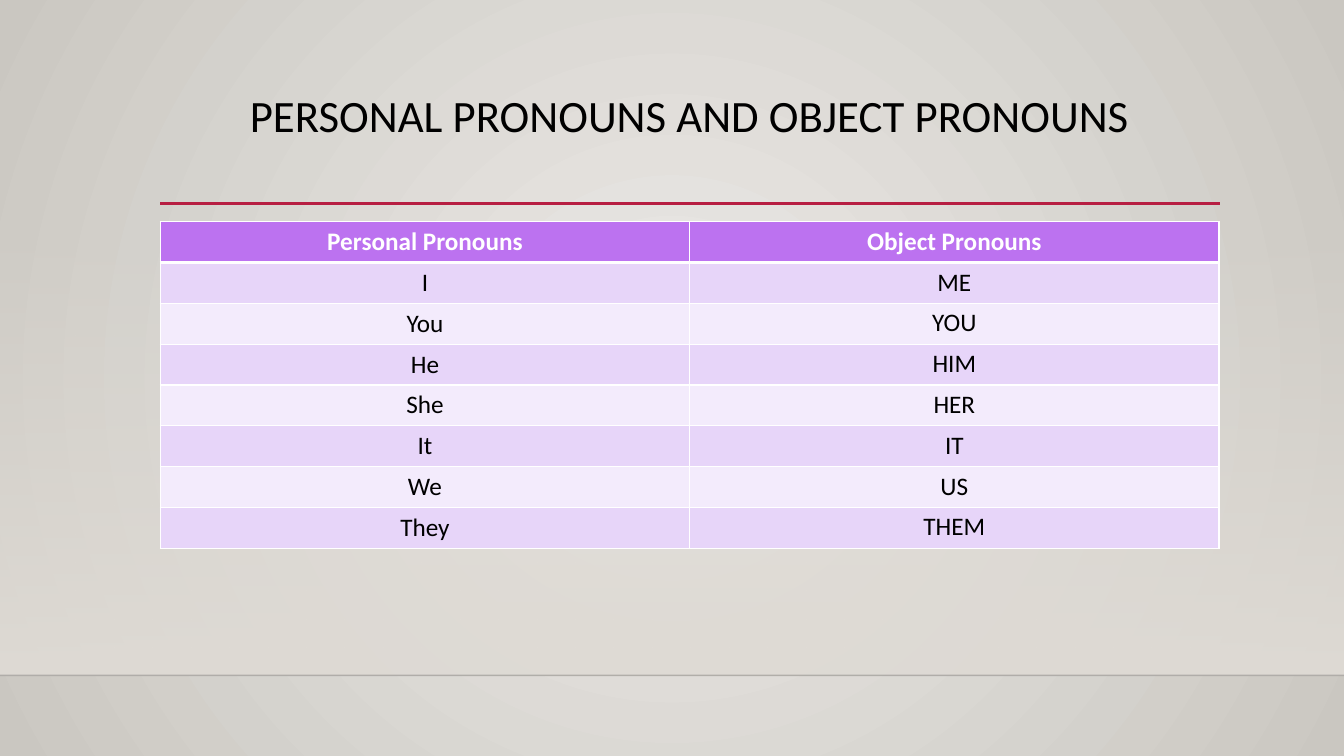
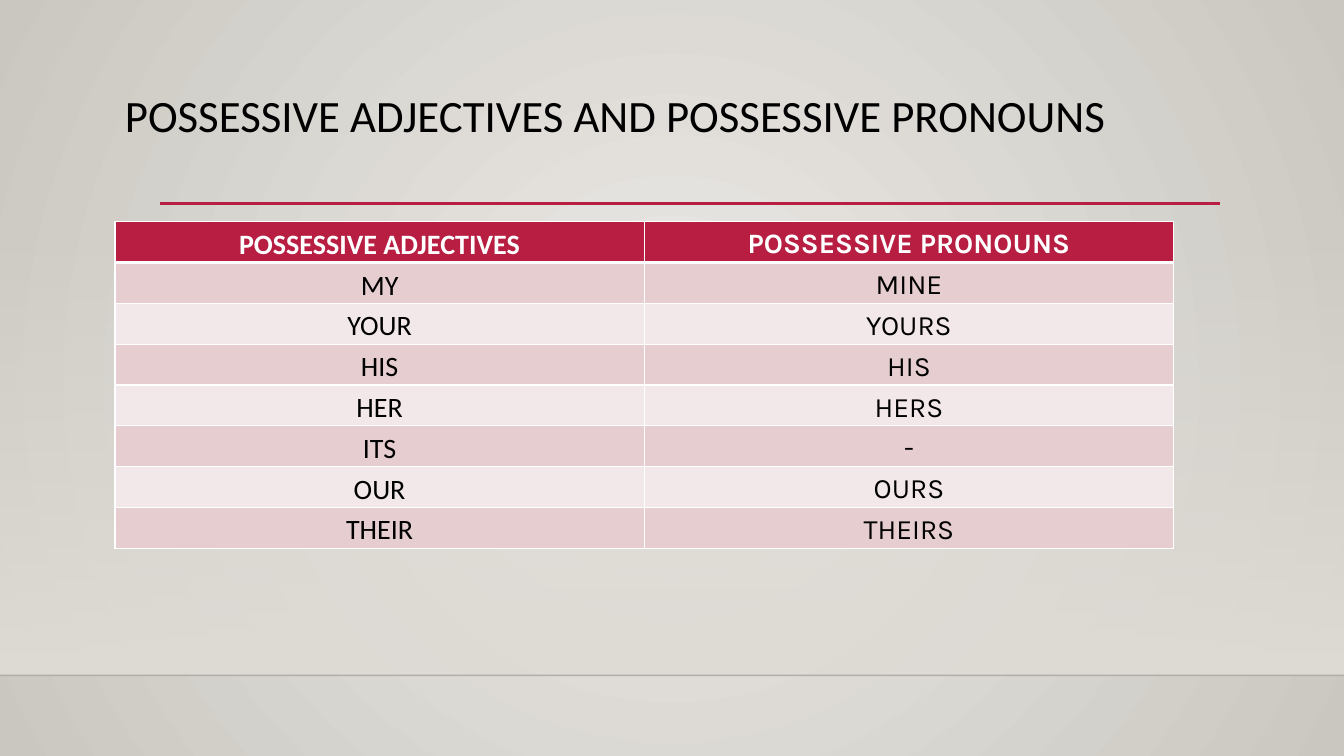
from dataclasses import dataclass

from lxml.etree import SubElement
from pptx import Presentation
from pptx.dml.color import RGBColor
from pptx.dml.fill import FillFormat
from pptx.enum.shapes import MSO_CONNECTOR, MSO_SHAPE
from pptx.enum.text import MSO_ANCHOR as Anchor, PP_ALIGN as Align
from pptx.oxml.ns import qn
from pptx.presentation import Presentation as Deck
from pptx.shapes.connector import Connector
from pptx.slide import Slide
from pptx.table import _Cell as Cell
from pptx.text.text import _Paragraph as Paragraph
from pptx.util import Inches, Pt


@dataclass(frozen=True)
class Theme:
    background_center: str = "ECEAE7"
    background_edge: str = "CAC7C1"
    band: str = "DFDBD5"
    floor_line: str = "000001"
    accent: str = "B71E42"
    text: str = "000000"
    white: str = "FFFFFF"
    font: str = "Calibri"
    second_font: str = "Karla"
    title_size: float = 32
    thin_border: float = 1
    header_border: float = 3


THEME = Theme()
SLIDE_WIDTH, SLIDE_HEIGHT = 13.33, 7.5
FLOOR = 6.7
TABLE_TOP, TABLE_WIDTH, TABLE_HEIGHT = 2.2, 10.5, 3.24
OPAQUE = 100


@dataclass(frozen=True)
class CellStyle:
    size: float
    font: str = THEME.font
    margin_x: float = 0.07
    margin_y: float = 0
    line_spacing: float = 1.15
    anchor: Anchor = Anchor.MIDDLE


@dataclass(frozen=True)
class Palette:
    header: str
    dark_row: str
    light_row: str


@dataclass(frozen=True)
class PronounSlide:
    title: str
    left: float
    title_width: float
    title_align: Align
    palette: Palette
    header_styles: tuple[CellStyle, CellStyle]
    body_styles: tuple[CellStyle, CellStyle]
    rows: list[tuple[str, str]]


ROOMY = CellStyle(18, margin_x=0.1, margin_y=0.05, line_spacing=1, anchor=Anchor.TOP)
TIGHT = CellStyle(18, anchor=Anchor.TOP)
LARGE = CellStyle(20)
LARGE_SECOND = CellStyle(20, font=THEME.second_font)

SLIDES = [
    PronounSlide(
        "PERSONAL PRONOUNS AND OBJECT PRONOUNS", 1.59, 10.5, Align.CENTER,
        Palette("BC72F0", "E7D5F9", "F3EBFC"),
        (ROOMY, ROOMY), (ROOMY, TIGHT),
        [("Personal Pronouns", "Object Pronouns"), ("I", "ME"), ("You", "YOU"),
         ("He", "HIM"), ("She", "HER"), ("It", "IT"), ("We", "US"), ("They", "THEM")],
    ),
    PronounSlide(
        "POSSESSIVE ADJECTIVES AND POSSESSIVE PRONOUNS", 1.14, 10.95, Align.LEFT,
        Palette(THEME.accent, "E6CDCF", "F3E8E9"),
        (LARGE, LARGE_SECOND), (LARGE, LARGE_SECOND),
        [("POSSESSIVE ADJECTIVES", "POSSESSIVE PRONOUNS"), ("MY", "MINE"),
         ("YOUR", "YOURS"), ("HIS", "HIS"), ("HER", "HERS"), ("ITS", "-"),
         ("OUR", "OURS"), ("THEIR", "THEIRS")],
    ),
]


def rgb(color: str) -> RGBColor:
    return RGBColor.from_string(color)


def set_alpha(color_element, percent: int) -> None:
    SubElement(color_element, qn("a:alpha"), val=str(percent * 1000))


def set_gradient(fill: FillFormat, start: str, end: str) -> None:
    fill.gradient()
    for stop, color in zip(fill.gradient_stops, (start, end)):
        stop.color.rgb = rgb(color)


def set_text(paragraph: Paragraph, text: str, font: str, size: float, color: str,
             bold: bool, align: Align, line_spacing: float) -> None:
    paragraph.text = text
    paragraph.alignment = align
    paragraph.line_spacing = line_spacing
    paragraph.font.name = font
    paragraph.font.size = Pt(size)
    paragraph.font.bold = bold
    paragraph.font.color.rgb = rgb(color)


# Shared backdrop
def set_background(presentation: Deck) -> None:
    master = presentation.slide_master
    set_gradient(master.background.fill, THEME.background_center, THEME.background_edge)
    linear = next(master.element.iter(qn("a:lin")))
    gradient = linear.getparent()
    gradient.remove(linear)
    circle = SubElement(gradient, qn("a:path"), path="circle")
    SubElement(circle, qn("a:fillToRect"), l="50000", t="50000", r="50000", b="50000")


def add_rule(slide: Slide, left: float, right: float, top: float,
             color: str, width: float) -> Connector:
    rule = slide.shapes.add_connector(
        MSO_CONNECTOR.STRAIGHT, Inches(left), Inches(top), Inches(right), Inches(top))
    rule.line.color.rgb = rgb(color)
    rule.line.width = Pt(width)
    SubElement(rule.element.spPr, qn("a:effectLst"))
    return rule


def add_backdrop(slide: Slide) -> None:
    band_top = 2.21
    band = slide.shapes.add_shape(
        MSO_SHAPE.RECTANGLE, 0, Inches(band_top), Inches(SLIDE_WIDTH), Inches(FLOOR - band_top))
    band.shadow.inherit = False
    band.line.fill.background()
    set_gradient(band.fill, THEME.band, THEME.band)
    band.fill.gradient_angle = 270
    stops = band.element.spPr.iter(qn("a:srgbClr"))
    for color_element, alpha in zip(stops, (0, OPAQUE)):
        set_alpha(color_element, alpha)

    floor = add_rule(slide, 0, SLIDE_WIDTH, FLOOR, THEME.floor_line, 1)
    set_alpha(next(floor.element.spPr.iter(qn("a:srgbClr"))), 20)
    add_rule(slide, 1.59, 12.1, 2.02, THEME.accent, 2.5)


# Title
def add_title(slide: Slide, content: PronounSlide) -> None:
    box = slide.shapes.add_textbox(
        Inches(content.left), Inches(0.88), Inches(content.title_width), Inches(1.15))
    box.text_frame.word_wrap = True
    set_text(box.text_frame.paragraphs[0], content.title, THEME.font, THEME.title_size,
             THEME.text, False, content.title_align, 0.9)


# Table
def set_borders(cell: Cell, top: float, bottom: float) -> None:
    properties = cell._tc.get_or_add_tcPr()
    thin = THEME.thin_border
    widths = {"a:lnL": thin, "a:lnR": thin, "a:lnT": top, "a:lnB": bottom}
    for index, (tag, width) in enumerate(widths.items()):
        border = SubElement(properties, qn(tag), w=str(Pt(width)))
        fill = SubElement(border, qn("a:solidFill"))
        SubElement(fill, qn("a:srgbClr"), val=THEME.white)
        properties.insert(index, border)


def fill_cell(cell: Cell, text: str, style: CellStyle, row: int, palette: Palette) -> None:
    header = row == 0
    cell.margin_left = cell.margin_right = Inches(style.margin_x)
    cell.margin_top = cell.margin_bottom = Inches(style.margin_y)
    cell.vertical_anchor = style.anchor
    cell.fill.solid()
    cell.fill.fore_color.rgb = rgb(
        palette.header if header else palette.dark_row if row % 2 else palette.light_row)
    set_text(cell.text_frame.paragraphs[0], text, style.font, style.size,
             THEME.white if header else THEME.text, header, Align.CENTER, style.line_spacing)
    set_borders(cell,
                top=THEME.header_border if row == 1 else THEME.thin_border,
                bottom=THEME.header_border if header else THEME.thin_border)


def add_pronoun_table(slide: Slide, content: PronounSlide) -> None:
    table = slide.shapes.add_table(
        len(content.rows), 2, Inches(content.left), Inches(TABLE_TOP),
        Inches(TABLE_WIDTH), Inches(TABLE_HEIGHT)).table
    for row, texts in enumerate(content.rows):
        styles = content.body_styles if row else content.header_styles
        for column, (text, style) in enumerate(zip(texts, styles)):
            fill_cell(table.cell(row, column), text, style, row, content.palette)


def main() -> None:
    presentation = Presentation()
    presentation.slide_width = Inches(SLIDE_WIDTH)
    presentation.slide_height = Inches(SLIDE_HEIGHT)
    set_background(presentation)
    blank_layout = presentation.slide_layouts[6]
    for content in SLIDES:
        slide = presentation.slides.add_slide(blank_layout)
        add_backdrop(slide)
        add_title(slide, content)
        add_pronoun_table(slide, content)
    presentation.save("out.pptx")


if __name__ == "__main__":
    main()
